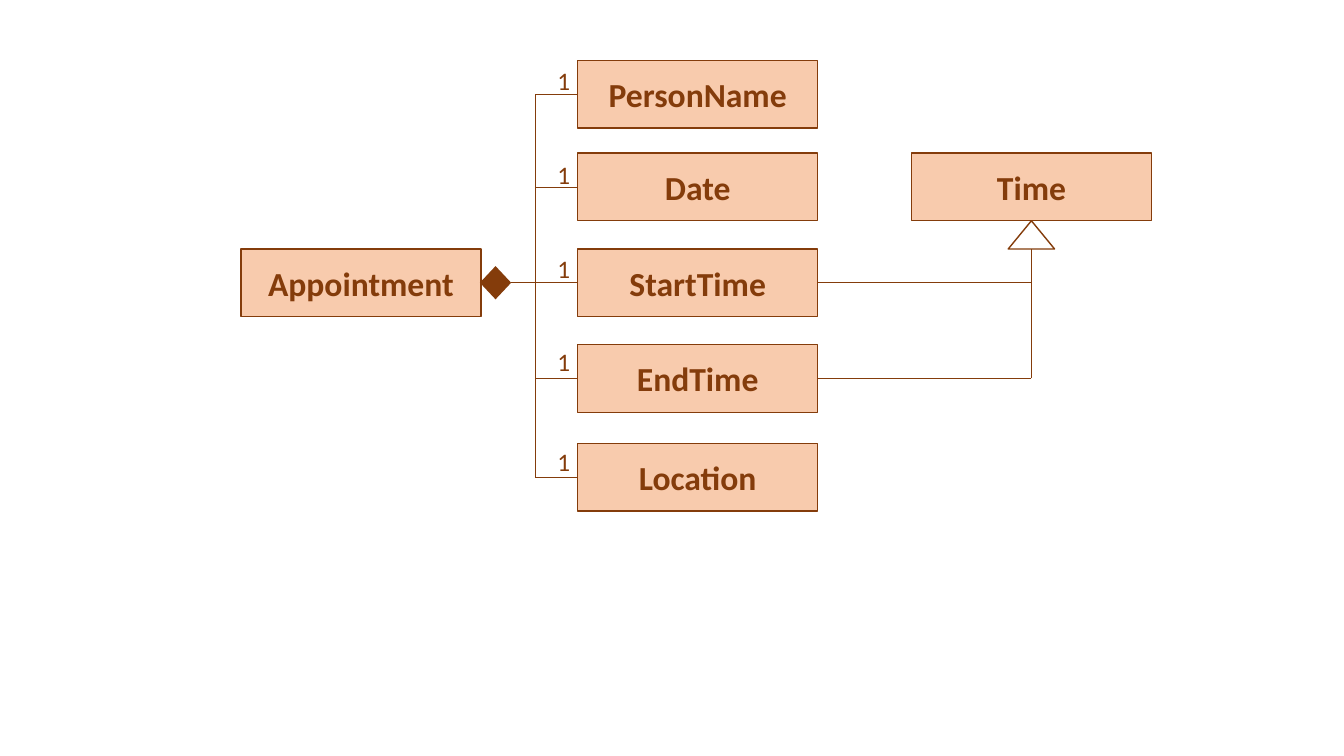
from dataclasses import dataclass

from lxml import etree
from pptx import Presentation
from pptx.dml.color import RGBColor
from pptx.enum.shapes import MSO_CONNECTOR, MSO_SHAPE
from pptx.enum.text import MSO_ANCHOR, MSO_AUTO_SIZE, PP_ALIGN
from pptx.oxml.ns import qn
from pptx.util import Inches, Pt

RECTANGLE = MSO_SHAPE.RECTANGLE
DIAMOND = MSO_SHAPE.DIAMOND
TRIANGLE = MSO_SHAPE.ISOSCELES_TRIANGLE
STRAIGHT = MSO_CONNECTOR.STRAIGHT
CENTER = PP_ALIGN.CENTER
MIDDLE = MSO_ANCHOR.MIDDLE
GROW = MSO_AUTO_SIZE.SHAPE_TO_FIT_TEXT
LEFT_SIDE, RIGHT_SIDE = 1, 3


@dataclass(frozen=True)
class Theme:
    ink: RGBColor = RGBColor(0x84, 0x3C, 0x0B)
    class_fill: RGBColor = RGBColor(0xF8, 0xCB, 0xAD)
    font: str = "Calibri"
    class_size: Pt = Pt(24)
    count_size: Pt = Pt(18)
    outline: Pt = Pt(1)
    link: Pt = Pt(0.5)


THEME = Theme()

# Layout in inches
CLASS_W, CLASS_H = 2.38, 0.67
WHOLE_X, PART_X, TIME_X = 2.39, 5.73, 9.04
TRUNK_X = 5.31
COUNT_X = 5.43
ARROW_W, ARROW_H = 0.46, 0.28

# Part class: (top of its box, top of its multiplicity)
PARTS = {
    "PersonName": (0.6, 0.6),
    "Date": (1.52, 1.53),
    "StartTime": (2.47, 2.46),
    "EndTime": (3.42, 3.39),
    "Location": (4.4, 4.38),
}


def middle(top):
    return top + CLASS_H / 2


def add_run(frame, text, size, bold=False):
    run = frame.paragraphs[0].add_run()
    run.text = text
    run.font.name = THEME.font
    run.font.size = size
    run.font.bold = bold
    run.font.color.rgb = THEME.ink


def add_figure(slide, kind, left, top, width, height, fill=None, outlined=True):
    figure = slide.shapes.add_shape(
        kind, Inches(left), Inches(top), Inches(width), Inches(height))
    figure.shadow.inherit = False
    if fill is None:
        figure.fill.background()
    else:
        figure.fill.solid()
        figure.fill.fore_color.rgb = fill
    if outlined:
        figure.line.color.rgb = THEME.ink
        figure.line.width = THEME.outline
    else:
        figure.line.fill.background()
    return figure


def add_class(slide, name, left, top):
    box = add_figure(slide, RECTANGLE, left, top, CLASS_W, CLASS_H, THEME.class_fill)
    frame = box.text_frame
    frame.vertical_anchor = MIDDLE
    frame.paragraphs[0].alignment = CENTER
    add_run(frame, name, THEME.class_size, bold=True)
    return box


def add_link(slide, start, end):
    link = slide.shapes.add_connector(STRAIGHT, *(Inches(v) for v in (*start, *end)))
    link.line.color.rgb = THEME.ink
    link.line.width = THEME.link
    etree.SubElement(link._element.spPr, qn("a:effectLst"))
    return link


def add_count(slide, top):
    label = slide.shapes.add_textbox(
        Inches(COUNT_X), Inches(top), Inches(0.19), Inches(0.4))
    frame = label.text_frame
    frame.word_wrap = True
    frame.auto_size = GROW
    frame.margin_right = 0
    add_run(frame, "1", THEME.count_size)


def main():
    deck = Presentation()
    deck.slide_width, deck.slide_height = Inches(13.33), Inches(7.5)
    slide = deck.slides.add_slide(deck.slide_layouts[6])

    # Classes
    start_top = PARTS["StartTime"][0]
    time_top = PARTS["Date"][0]
    add_class(slide, "Appointment", WHOLE_X, start_top)
    parts = {name: add_class(slide, name, PART_X, top)
             for name, (top, _) in PARTS.items()}
    add_class(slide, "Time", TIME_X, time_top)

    # Composition: diamond, trunk and a branch to each part
    diamond = add_figure(slide, DIAMOND, 4.76, 2.64, 0.31, 0.33, THEME.ink, outlined=False)
    middles = {name: middle(top) for name, (top, _) in PARTS.items()}
    add_link(slide, (TRUNK_X, middles["PersonName"]), (TRUNK_X, middles["Location"]))
    for name, (_, count_top) in PARTS.items():
        y = middles[name]
        branch = add_link(slide, (TRUNK_X, y), (PART_X, y))
        if name == "StartTime":
            branch.begin_connect(diamond, RIGHT_SIDE)
        branch.end_connect(parts[name], LEFT_SIDE)
        add_count(slide, count_top)

    # Generalization: StartTime and EndTime inherit from Time
    axis_x = TIME_X + CLASS_W / 2
    arrow_top = time_top + CLASS_H
    for name in ("StartTime", "EndTime"):
        y = middles[name]
        child = add_link(slide, (PART_X + CLASS_W, y), (axis_x, y))
        child.begin_connect(parts[name], RIGHT_SIDE)
    add_link(slide, (axis_x, middles["EndTime"]), (axis_x, arrow_top + ARROW_H))
    add_figure(slide, TRIANGLE, axis_x - ARROW_W / 2, arrow_top, ARROW_W, ARROW_H)

    deck.save("out.pptx")


if __name__ == "__main__":
    main()
